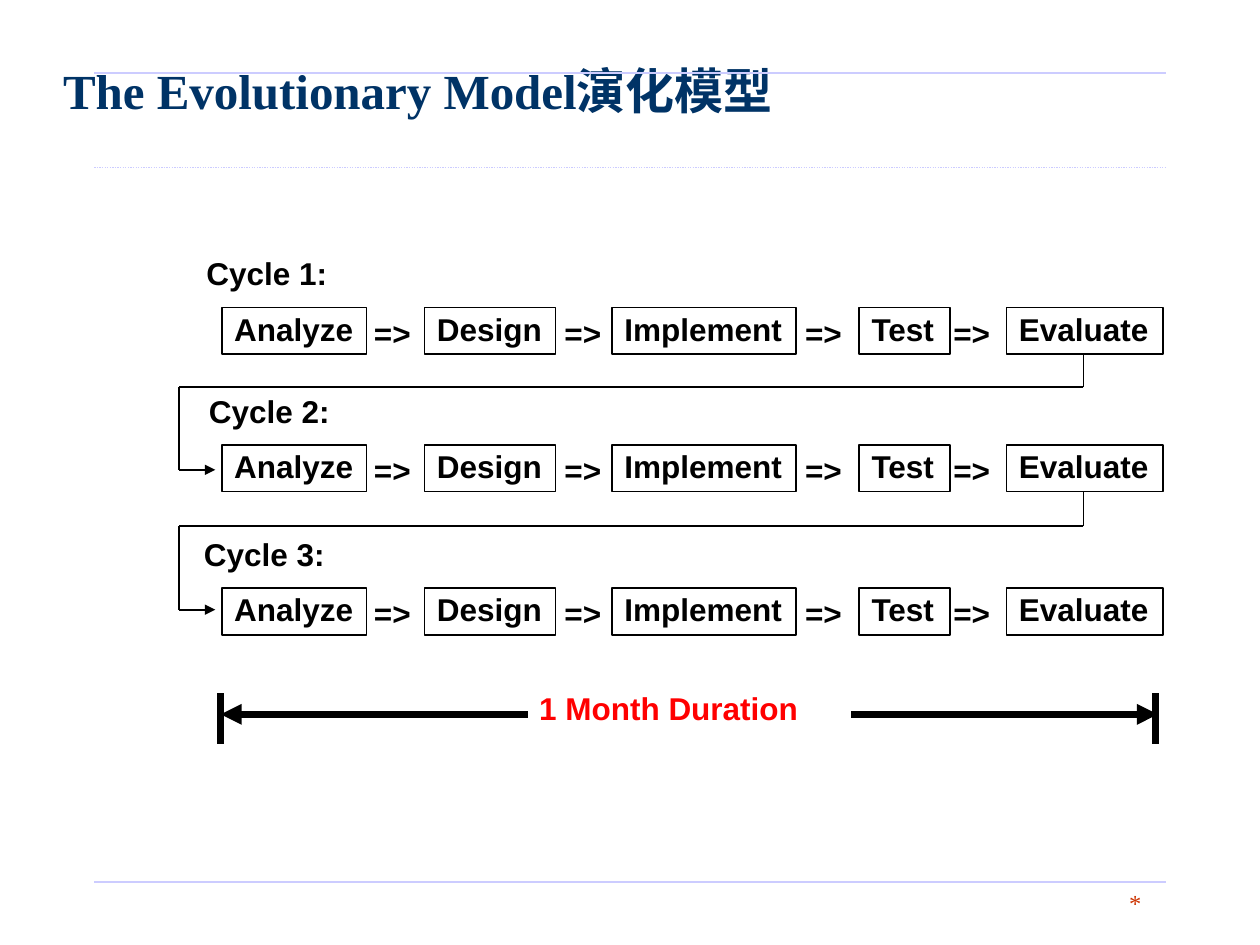
from pptx import Presentation
from pptx.util import Cm, Pt
from pptx.dml.color import RGBColor
from pptx.enum import dml, shapes, text
from pptx.oxml.ns import qn
from lxml import etree

BLACK = RGBColor(0, 0, 0)
RED = RGBColor(0xFF, 0, 0)
NAVY = RGBColor(0, 0x33, 0x66)
RUST = RGBColor(0xCC, 0x33, 0)
LILAC = RGBColor(0xCC, 0xCC, 0xFF)

deck = Presentation()
deck.slide_width, deck.slide_height = Cm(25.4), Cm(19.05)
page = deck.slides.add_slide(deck.slide_layouts[5])
items = page.shapes


def write(item, words, size=18, color=BLACK, face="Arial", bold=True,
          align=text.PP_ALIGN.LEFT, gap=0.9, wrap=False, pad=(0.25, 0.13)):
    frame = item.text_frame
    frame.text = words
    form = {"margin_left": Cm(pad[0]), "margin_right": Cm(pad[0]),
            "margin_top": Cm(pad[1]), "margin_bottom": Cm(pad[1]),
            "word_wrap": wrap, "vertical_anchor": text.MSO_ANCHOR.TOP,
            "auto_size": text.MSO_AUTO_SIZE.SHAPE_TO_FIT_TEXT}
    for key, value in form.items():
        setattr(frame, key, value)
    para = frame.paragraphs[0]
    para.alignment, para.line_spacing = align, gap
    font = para.runs[0].font
    for key, value in {"size": Pt(size), "name": face, "bold": bold}.items():
        setattr(font, key, value)
    font.color.rgb = color


def draw(x1, y1, x2, y2, color=BLACK, width=1, end=None):
    line = items.add_connector(shapes.MSO_CONNECTOR.STRAIGHT,
                               Cm(x1), Cm(y1), Cm(x2), Cm(y2))
    line.line.color.rgb = color
    line.line.width = Pt(width)
    if end:
        etree.SubElement(line.line._get_or_add_ln(), qn(end), type="triangle")
    etree.SubElement(line._element.spPr, qn("a:effectLst"))
    return line


for y in (1.47, 17.78, 3.38):
    rule = draw(1.9, y, 23.5, y, LILAC, 0.75)
rule.line.dash_style = dml.MSO_LINE.ROUND_DOT

star = items.add_textbox(Cm(19.25), Cm(17.78), Cm(4.01), Cm(0.86))
write(star, "*", 14, RUST, "Times New Roman", False,
      text.PP_ALIGN.RIGHT, 1.0, True)

title = items.title
title.left, title.top, title.width, title.height = (
    Cm(1.09), Cm(1.14), Cm(20.8), Cm(1.78))
write(title, "The Evolutionary Model演化模型", 28, NAVY, "Times New Roman",
      gap=1.0, wrap=True, pad=(0.18, 0.08))

steps = [("Analyze", 4.47, 2.92), ("Design", 8.56, 2.64),
         ("Implement", 12.34, 3.71), ("Test", 17.32, 1.83),
         ("Evaluate", 20.29, 3.15)]
signs = [7.29, 11.13, 15.98, 18.97]
cycles = [(3.91, 6.2), (3.96, 8.97), (3.86, 11.86)]
high = 0.94

for num, (left, top) in enumerate(cycles, 1):
    for name, x, wide in steps:
        box = items.add_shape(shapes.MSO_SHAPE.RECTANGLE,
                              Cm(x), Cm(top), Cm(wide), Cm(high))
        box.shadow.inherit = False
        box.fill.background()
        box.line.color.rgb = BLACK
        box.line.width = Pt(1)
        write(box, name)
    for x in signs:
        sign = items.add_textbox(Cm(x), Cm(top + 0.08), Cm(1.27), Cm(high))
        write(sign, "=>")
    label = items.add_textbox(Cm(left), Cm(top - 1.12), Cm(2.97), Cm(high))
    write(label, f"Cycle {num}:")

start, back, tip = 21.84, 3.61, 4.34
for top, turn, foot in ((6.2, 7.8, 9.47), (8.97, 10.6, 12.29)):
    draw(start, top + high, start, turn)
    draw(start, turn, back, turn)
    draw(back, turn, back, foot)
    draw(back, foot, tip, foot, end="a:tailEnd")

for edge, stop, tick in ((4.45, 10.64, 4.45), (23.34, 17.15, 23.29)):
    draw(edge, 14.4, stop, 14.4, width=4, end="a:headEnd")
    draw(tick, 13.97, tick, 14.99, width=4)
span = items.add_textbox(Cm(10.62), Cm(13.77), Cm(5.74), Cm(1.02))
write(span, "1 Month Duration", color=RED, gap=1.0)

deck.save("out.pptx")
